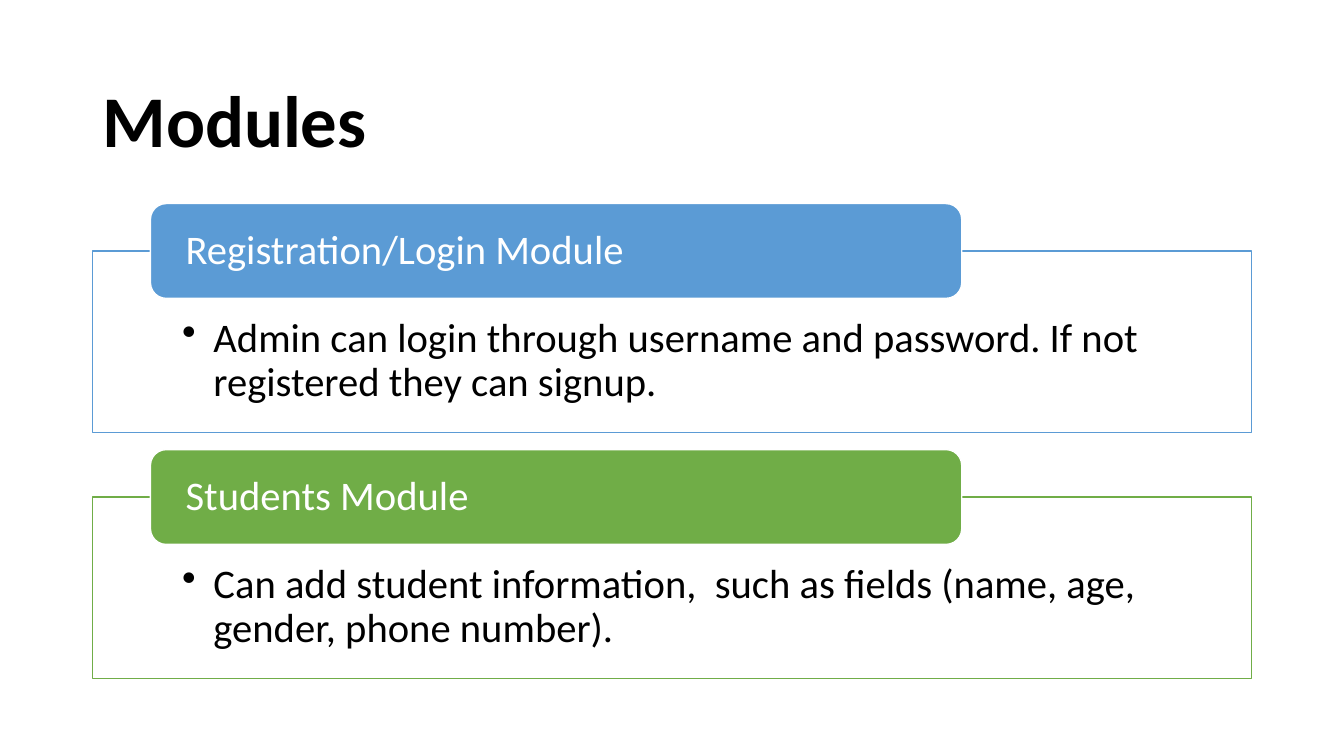
import pptx
import pptx.util
import pptx.dml.color
import pptx.enum.shapes
import pptx.enum.text
import pptx.oxml.ns
import lxml.etree

Cm = pptx.util.Cm
Pt = pptx.util.Pt
KIND = pptx.enum.shapes.MSO_SHAPE
HEX = {"blue": "5B9BD5", "green": "70AD47", "white": "FFFFFF", "black": "000000"}
MODULES = [
    ("blue", "Registration/Login Module",
     "Admin can login through username and password. If not registered they can signup."),
    ("green", "Students Module",
     "Can add student information,  such as fields (name, age, gender, phone number)."),
]


def tint(name):
    return pptx.dml.color.RGBColor.from_string(HEX[name])


def add_sub(parent, tag, **attrs):
    return lxml.etree.SubElement(parent, pptx.oxml.ns.qn(tag), **attrs)


def write(shape, text, size, color, bold=False):
    shape.text_frame.text = text
    para = shape.text_frame.paragraphs[0]
    para.alignment = pptx.enum.text.PP_ALIGN.LEFT
    para.line_spacing = 0.9
    para.font.name = "Calibri"
    para.font.size = Pt(size)
    para.font.bold = bold
    para.font.color.rgb = tint(color)
    return para


def add_box(slide, kind, box, fill, line, pads, anchor):
    shape = slide.shapes.add_shape(kind, *map(Cm, box))
    shape.shadow.inherit = False
    shape.fill.solid()
    shape.fill.fore_color.rgb = tint(fill)
    shape.line.color.rgb = tint(line)
    shape.line.width = Pt(1)
    frame = shape.text_frame
    frame.word_wrap = True
    frame.vertical_anchor = anchor
    side, top, base = map(Cm, pads)
    frame.margin_left = frame.margin_right = side
    frame.margin_top, frame.margin_bottom = top, base
    return shape


def add_title(slide, box, text):
    title = slide.shapes.title
    title.left, title.top, title.width, title.height = map(Cm, box)
    title.text_frame.vertical_anchor = pptx.enum.text.MSO_ANCHOR.MIDDLE
    write(title, text, 52, "black", True)


def add_module(slide, box, color, head, body):
    left, top, width, height = box
    tall = 2.39
    panel = add_box(slide, KIND.RECTANGLE, (left, top + tall / 2, width, height - tall / 2),
                    "white", color, (2.26, 1.68, 0.58), pptx.enum.text.MSO_ANCHOR.TOP)
    shade = panel.fill._xPr.find(".//" + pptx.oxml.ns.qn("a:srgbClr"))
    add_sub(shade, "a:alpha", val="90000")
    para = write(panel, body, 29, "black")
    para.level = 1
    props = para._p.get_or_add_pPr()
    props.set("marL", str(Cm(0.79)))
    props.set("indent", str(-Cm(0.79)))
    bullet = lxml.etree.Element(pptx.oxml.ns.qn("a:buChar"), char="•")
    props.find(pptx.oxml.ns.qn("a:lnSpc")).addnext(bullet)
    tab = add_box(slide, KIND.ROUNDED_RECTANGLE, (left + width * 0.05, top, width * 0.7, tall),
                  color, "white", (0.77, 0, 0), pptx.enum.text.MSO_ANCHOR.MIDDLE)
    write(tab, head, 29, "white")


def main():
    deck = pptx.Presentation()
    deck.slide_width, deck.slide_height = Cm(33.87), Cm(19.05)
    slide = deck.slides.add_slide(deck.slide_layouts[5])
    left, width = 2.33, 29.21
    add_title(slide, (left, 1.55, width, 3.15), "Modules")
    for row, module in enumerate(MODULES):
        add_module(slide, (left, 5.13 + row * 6.2, width, 5.77), *module)
    deck.save("out.pptx")


if __name__ == "__main__":
    main()
